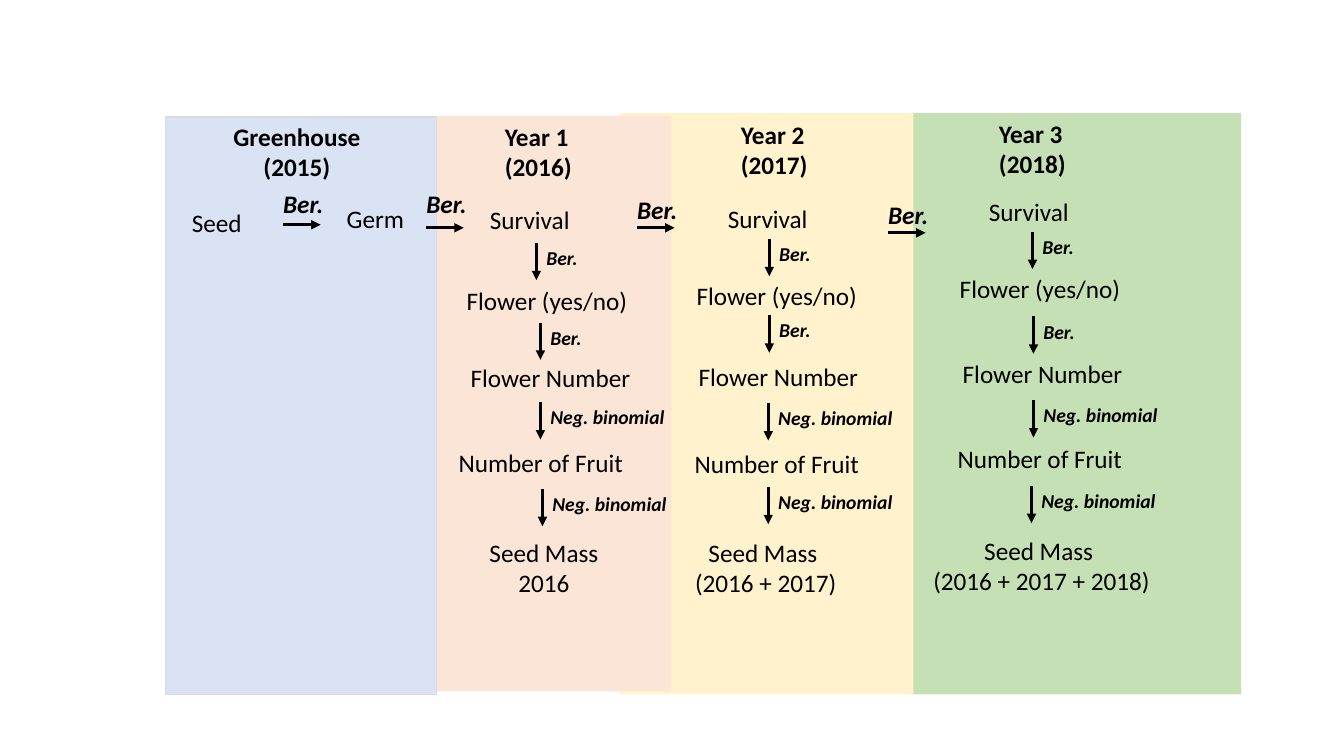
import pptx
import pptx.util
import pptx.dml.color
import pptx.enum.shapes
import pptx.enum.text
import pptx.oxml.ns
import lxml.etree

Inches = pptx.util.Inches
RGBColor = pptx.dml.color.RGBColor
ALIGN = pptx.enum.text.PP_ALIGN

BLACK = RGBColor(0x00, 0x00, 0x00)
GREEN = RGBColor(0xC5, 0xE0, 0xB4)
YELLOW = RGBColor(0xFF, 0xF2, 0xCC)
PEACH = RGBColor(0xFB, 0xE5, 0xD6)
BLUE = RGBColor(0xDA, 0xE3, 0xF3)
GREY = RGBColor(0xD6, 0xDC, 0xE5)

STAGE = {"size": pptx.util.Pt(18), "bold": False, "italic": False}
HEADING = {**STAGE, "bold": True}
LINK = {**STAGE, "bold": True, "italic": True}
STEP = {**LINK, "size": pptx.util.Pt(14)}
ARROW_LENGTH = 0.37

presentation = pptx.Presentation()
presentation.slide_width = Inches(13.33)
presentation.slide_height = Inches(7.5)
slide = presentation.slides.add_slide(presentation.slide_layouts[6])


def add_label(text, left, top, width, height, formats, align=ALIGN.LEFT, wrap=False):
    label = slide.shapes.add_textbox(Inches(left), Inches(top), Inches(width), Inches(height))
    frame = label.text_frame
    frame.word_wrap = wrap
    frame.auto_size = pptx.enum.text.MSO_AUTO_SIZE.SHAPE_TO_FIT_TEXT
    frame.text = text
    for paragraph in frame.paragraphs:
        paragraph.alignment = align
        font = paragraph.runs[0].font
        font.name = "Calibri"
        font.color.rgb = BLACK
        for key, value in formats.items():
            setattr(font, key, value)


def add_arrow(left, top, across, down):
    arrow = slide.shapes.add_connector(
        pptx.enum.shapes.MSO_CONNECTOR.STRAIGHT,
        Inches(left), Inches(top), Inches(left + across), Inches(top + down))
    arrow.line.color.rgb = BLACK
    arrow.line.width = pptx.util.Pt(2.25)
    qn = pptx.oxml.ns.qn
    lxml.etree.SubElement(arrow.line._get_or_add_ln(), qn("a:tailEnd"), type="triangle")
    lxml.etree.SubElement(arrow._element.spPr, qn("a:effectLst"))


bands = [
    (9.04, 1.12, 3.27, 5.77, GREEN, None),
    (6.15, 1.12, 2.91, 5.77, YELLOW, None),
    (3.11, 1.15, 3.55, 5.71, PEACH, None),
    (1.64, 1.16, 2.69, 5.73, BLUE, GREY),
]
for left, top, width, height, color, outline in bands:
    band = slide.shapes.add_shape(
        pptx.enum.shapes.MSO_SHAPE.RECTANGLE,
        Inches(left), Inches(top), Inches(width), Inches(height))
    band.shadow.inherit = False
    band.fill.solid()
    band.fill.fore_color.rgb = color
    if outline:
        band.line.color.rgb = outline
        band.line.width = pptx.util.Pt(1)
    else:
        band.line.fill.background()

add_label("Greenhouse\n(2015)", 2.21, 1.15, 1.47, 0.71, HEADING, ALIGN.CENTER)
add_label("Seed", 1.8, 2.01, 0.7, 0.4, STAGE, ALIGN.CENTER)
add_label("Germ", 3.34, 1.97, 0.78, 0.4, STAGE)

stages = [("Survival", 1), ("Flower (yes/no)", 1.81), ("Flower Number", 1.8), ("Number of Fruit", 1.85)]
steps = [("Ber.", 0.52), ("Ber.", 0.52), ("Neg. binomial", 1.35), ("Neg. binomial", 1.35)]
years = [
    {
        "heading": ("Year 1\n(2016)", 4.91, 1.15),
        "stages": [(4.76, 1.98), (4.53, 2.78), (4.57, 3.55), (4.45, 4.39)],
        "steps": [(5.32, 2.41), (5.36, 3.2), (5.36, 3.99), (5.38, 4.85)],
        "seed_mass": ("Seed Mass\n2016", 4.75, 5.28, 1.29),
    },
    {
        "heading": ("Year 2\n(2017)", 7.25, 1.13),
        "stages": [(7.12, 1.97), (6.81, 2.73), (6.83, 3.54), (6.79, 4.4)],
        "steps": [(7.63, 2.37), (7.63, 3.13), (7.62, 4), (7.62, 4.83)],
        "seed_mass": ("Seed Mass \n(2016 + 2017)", 6.3, 5.28, 2.59),
    },
    {
        "heading": ("Year 3\n(2018)", 9.81, 1.12),
        "stages": [(9.71, 1.9), (9.42, 2.66), (9.45, 3.51), (9.4, 4.35)],
        "steps": [(10.24, 2.3), (10.25, 3.14), (10.25, 3.97), (10.23, 4.82)],
        "seed_mass": ("Seed Mass \n(2016 + 2017 + 2018)", 8.94, 5.26, 2.78),
    },
]
for year in years:
    add_label(*year["heading"], 0.87, 0.71, HEADING)
    for (stage, width), (left, top) in zip(stages, year["stages"]):
        add_label(stage, left, top, width, 0.4, STAGE)
    for (step, width), (left, top) in zip(steps, year["steps"]):
        add_arrow(left, top, 0, ARROW_LENGTH)
        add_label(step, left, top - 0.02, width, 0.34, STEP)
    add_label(*year["seed_mass"], 0.71, STAGE, ALIGN.CENTER, wrap=True)

links = [(2.81, 2.23, 1.82), (4.23, 2.26, 1.82), (6.32, 2.26, 1.88), (8.81, 2.31, 1.93)]
for left, arrow_top, label_top in links:
    add_arrow(left, arrow_top, ARROW_LENGTH, 0)
    add_label("Ber.", left - 0.1, label_top, 0.61, 0.4, LINK)

presentation.save("out.pptx")
